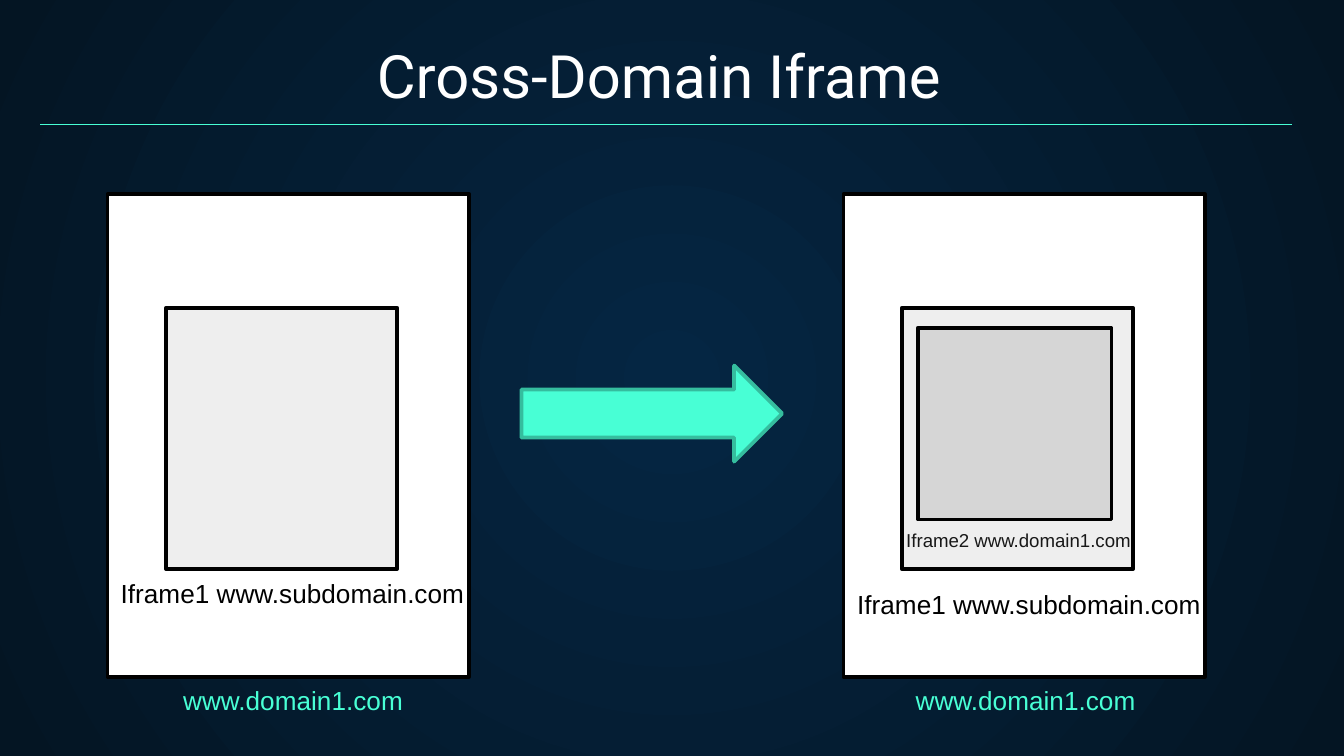
from lxml import etree
from pptx import Presentation
from pptx.dml.color import RGBColor as RGB
from pptx.enum.shapes import MSO_CONNECTOR as LINK, MSO_SHAPE as SHAPE
from pptx.enum.text import MSO_ANCHOR as ANCHOR, PP_ALIGN as ALIGN
from pptx.oxml import parse_xml
from pptx.oxml.ns import nsdecls, qn
from pptx.util import Pt

PX = 4572
HEX = {
    "glow": "052643", "edge": "041523", "white": "FFFFFF", "black": "000000",
    "mint": "48FFD5", "teal": "35BD9E", "pale": "EEEEEE", "gray": "D6D6D6",
    "ink": "181818",
}
TITLE = "Cross-Domain Iframe"
HOST = "www.domain1.com"
OUTER = "Iframe1 www.subdomain.com"
INNER = "Iframe2 www.domain1.com"

PAGES = [
    {"left": 160, "host": (253, 1008, 432, 68), "outer": (160, 850, 592, 68)},
    {"left": 1255, "host": (1343, 1008, 432, 68), "outer": (1256, 866, 606, 68)},
]
PAGE = (0, 289, 538, 718)
FRAME = (87, 458, 344, 389)
NESTED = (1366, 488, 288, 285)
NOTE = (1329, 777, 568, 54)
ARROW = (776, 544, 388, 143)
HEAD = (49, 52, 1864, 132)
RULE = (60, 185, 1923, 185)


def emu(box):
    return [n * PX for n in box]


def shift(box, left):
    return (box[0] + left, *box[1:])


def tint(name):
    return RGB.from_string(HEX[name])


def write(text, box=None, shape=None, size=14, font="Arial", color="black",
          align=ALIGN.LEFT, anchor=ANCHOR.TOP):
    shape = shape or slide.shapes.add_textbox(*emu(box))
    frame = shape.text_frame
    frame.word_wrap = True
    frame.vertical_anchor = anchor
    para = frame.paragraphs[0]
    para.alignment = align
    run = para.add_run()
    run.text = text
    run.font.size = Pt(size)
    run.font.name = font
    run.font.color.rgb = tint(color)
    return frame


def draw(box, fill, line="black", kind=SHAPE.RECTANGLE):
    shape = slide.shapes.add_shape(kind, *emu(box))
    shape.shadow.inherit = False
    shape.fill.solid()
    shape.fill.fore_color.rgb = tint(fill)
    shape.line.color.rgb = tint(line)
    shape.line.width = Pt(2)


deck = Presentation()
deck.slide_width, deck.slide_height = emu((2000, 1125))
slide = deck.slides.add_slide(deck.slide_layouts[5])

fill = slide.background.fill
fill.gradient()
for stop, name in zip(fill.gradient_stops, ("glow", "edge")):
    stop.color.rgb = tint(name)
grad = slide.background._cSld.find(".//" + qn("a:gradFill"))
grad.replace(grad.find(qn("a:lin")), parse_xml(
    f'<a:path {nsdecls("a")} path="circle">'
    '<a:fillToRect l="50000" t="50000" r="50000" b="50000"/></a:path>'))

title = slide.shapes.title
title.left, title.top, title.width, title.height = emu(HEAD)
frame = write(TITLE, shape=title, size=32, font="Roboto", color="white",
              align=ALIGN.CENTER, anchor=ANCHOR.BOTTOM)
frame.margin_top = frame.margin_bottom = 20 * PX

rule = slide.shapes.add_connector(LINK.STRAIGHT, *emu(RULE))
rule.line.color.rgb = tint("mint")
rule.line.width = Pt(0.75)
etree.SubElement(rule._element.spPr, qn("a:effectLst"))

for page in PAGES:
    draw(shift(PAGE, page["left"]), "white")
    draw(shift(FRAME, page["left"]), "pale")
    write(HOST, page["host"], color="mint")
    write(OUTER, page["outer"])

draw(ARROW, "mint", "teal", SHAPE.RIGHT_ARROW)
draw(NESTED, "gray")
write(INNER, NOTE, size=10, color="ink")

deck.save("out.pptx")
